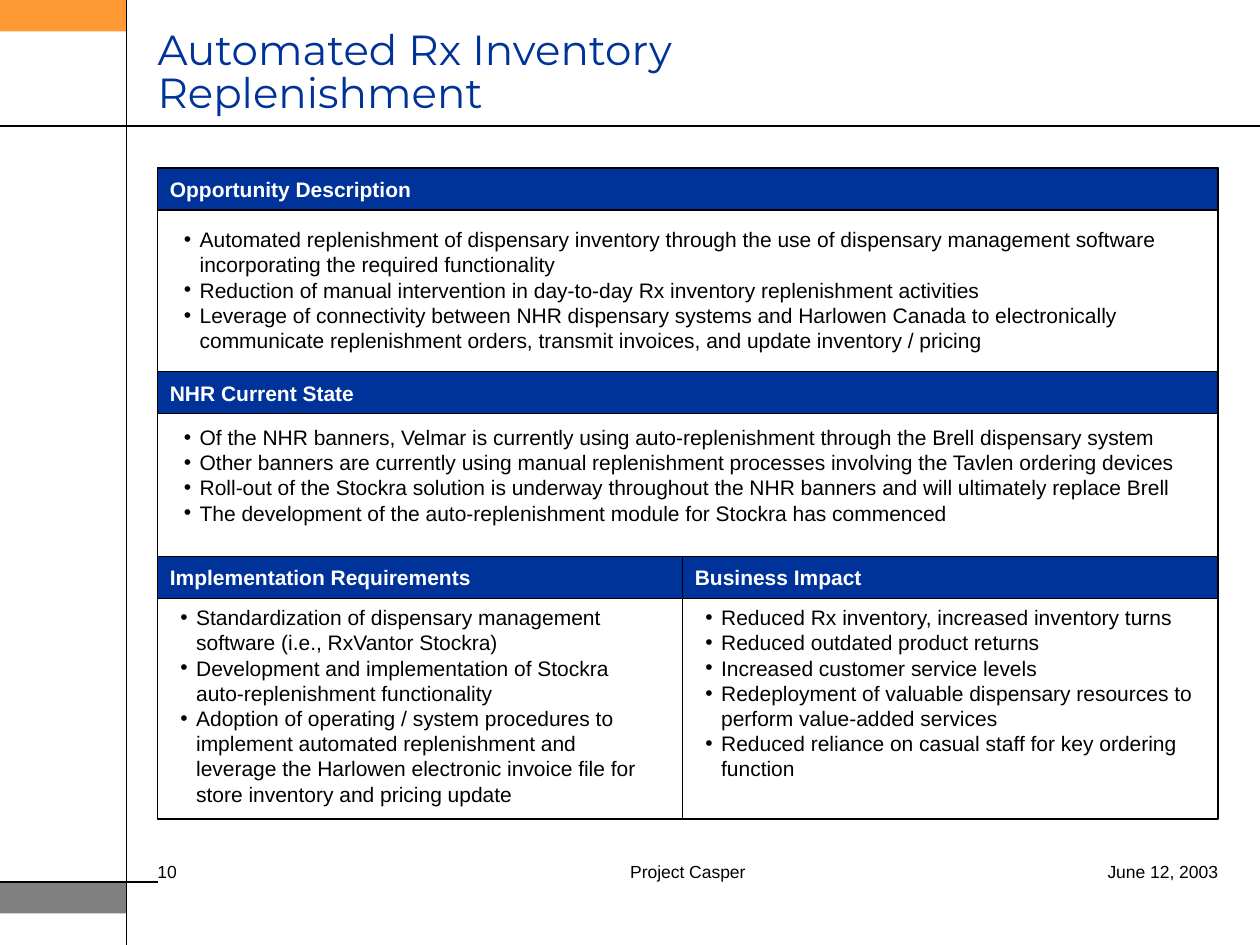
from lxml.etree import SubElement
from pptx import Presentation
from pptx.dml.color import RGBColor
from pptx.enum.shapes import MSO_CONNECTOR, MSO_SHAPE
from pptx.enum.text import MSO_ANCHOR, MSO_AUTO_SIZE, PP_ALIGN
from pptx.oxml.ns import qn
from pptx.util import Pt

COLORS = {"blue": "003399", "orange": "FF9933", "gray": "808080",
          "black": "000000", "white": "FFFFFF"}
TITLE = {"name": "Montserrat", "size": Pt(24), "color": "blue"}
HEADING = {"name": "Arial", "size": Pt(12), "bold": True, "color": "white"}
BODY = {"name": "Arial", "size": Pt(12), "color": "black"}
FOOTER = {"name": "Arial", "size": Pt(10), "color": "black"}

PANELS = [
    {"box": (0, 0, 606, 116.4), "inset": (8, 30, 586),
     "heading": "Opportunity Description",
     "items": [
         "Automated replenishment of dispensary inventory through the use of dispensary "
         "management software incorporating the required functionality",
         "Reduction of manual intervention in day-to-day Rx inventory replenishment activities",
         "Leverage of connectivity between NHR dispensary systems and Harlowen Canada to "
         "electronically communicate replenishment orders, transmit invoices, and update "
         "inventory / pricing"]},
    {"box": (0, 116.4, 606, 105.6), "inset": (8, 26.6, 586),
     "heading": "NHR Current State",
     "items": [
         "Of the NHR banners, Velmar is currently using auto-replenishment through the Brell "
         "dispensary system",
         "Other banners are currently using manual replenishment processes involving the "
         "Tavlen ordering devices",
         "Roll-out of the Stockra solution is underway throughout the NHR banners and will "
         "ultimately replace Brell",
         "The development of the auto-replenishment module for Stockra has commenced"]},
    {"box": (0, 222, 300, 150), "inset": (6, 24, 288),
     "heading": "Implementation Requirements",
     "items": [
         "Standardization of dispensary management software (i.e., RxVantor Stockra)",
         "Development and implementation of Stockra auto-replenishment functionality",
         "Adoption of operating / system procedures to implement automated replenishment and "
         "leverage the Harlowen electronic invoice file for store inventory and pricing update"]},
    {"box": (300, 222, 306, 150), "inset": (6, 24, 306),
     "heading": "Business Impact",
     "items": [
         "Reduced Rx inventory, increased inventory turns",
         "Reduced outdated product returns",
         "Increased customer service levels",
         "Redeployment of valuable dispensary resources to perform value-added services",
         "Reduced reliance on casual staff for key ordering function"]},
]


def rgb(name):
    """Return the named palette colour."""
    return RGBColor.from_string(COLORS[name])


def set_font(font, fmt):
    """Apply a dict of format values to a font."""
    for key, value in fmt.items():
        if key == "color":
            font.color.rgb = rgb(value)
        else:
            setattr(font, key, value)


def set_frame(tf, margins=(0, 0), anchor=MSO_ANCHOR.TOP):
    """Set wrapping, anchor and the side and top margins of a text frame."""
    side, top = (Pt(m) for m in margins)
    values = {"word_wrap": True, "auto_size": MSO_AUTO_SIZE.NONE,
              "vertical_anchor": anchor, "margin_left": side, "margin_right": side,
              "margin_top": top, "margin_bottom": top}
    for key, value in values.items():
        setattr(tf, key, value)


def add_rect(s, box, fill=None, line=None):
    """Add a rectangle with an optional fill and outline."""
    sp = s.shapes.add_shape(MSO_SHAPE.RECTANGLE, *map(Pt, box))
    sp.shadow.inherit = False
    if fill:
        sp.fill.solid()
        sp.fill.fore_color.rgb = rgb(fill)
    else:
        sp.fill.background()
    if line:
        sp.line.color.rgb = rgb(line)
        sp.line.width = Pt(0.75)
    else:
        sp.line.fill.background()
    return sp


def add_line(s, x1, y1, x2, y2, width=0.75):
    """Add a straight black line."""
    ln = s.shapes.add_connector(MSO_CONNECTOR.STRAIGHT, *map(Pt, (x1, y1, x2, y2)))
    ln.line.color.rgb = rgb("black")
    ln.line.width = Pt(width)
    SubElement(ln._element.spPr, qn("a:effectLst"))


def add_text(p, text, fmt, align=PP_ALIGN.LEFT):
    """Write one formatted run into a paragraph."""
    p.alignment = align
    r = p.add_run()
    r.text = text
    set_font(r.font, fmt)


def add_bullet(p):
    """Give a paragraph a round black bullet with a hanging indent."""
    pPr = p._p.get_or_add_pPr()
    pPr.set("marL", str(Pt(9)))
    pPr.set("indent", str(-Pt(9)))
    clr = SubElement(pPr, qn("a:buClr"))
    SubElement(clr, qn("a:srgbClr"), val=COLORS["black"])
    SubElement(pPr, qn("a:buFont"), typeface="Arial")
    SubElement(pPr, qn("a:buChar"), char="•")


def add_backdrop(s, width, height):
    """Draw the side blocks and rules that frame the slide."""
    add_rect(s, (0, 0, 72, 18), "orange")
    add_line(s, 72, 0, 72, height, 0.5)
    add_line(s, 0, 72, width, 72)
    add_rect(s, (0, 504, 72, 18), "gray")
    add_line(s, 0, 504, 90, 504)


def add_title(s, box, text):
    """Move the title placeholder into the box and fill it."""
    sp = s.shapes.title
    sp.left, sp.top, sp.width, sp.height = map(Pt, box)
    set_frame(sp.text_frame)
    p = sp.text_frame.paragraphs[0]
    p.line_spacing = 0.85
    add_text(p, text, TITLE)


def add_panel(s, box, heading, items, inset):
    """Add a heading bar with a bulleted list below it."""
    x, y, w, h = box
    dx, dy, list_w = inset
    bar = add_rect(s, (x, y, w, 24), "blue", "black")
    set_frame(bar.text_frame, (7.2, 3.6), MSO_ANCHOR.MIDDLE)
    add_text(bar.text_frame.paragraphs[0], heading, HEADING)
    tf = s.shapes.add_textbox(*map(Pt, (x + dx, y + dy, list_w, h - dy))).text_frame
    set_frame(tf, (7.2, 3.6))
    for i, item in enumerate(items):
        p = tf.add_paragraph() if i else tf.paragraphs[0]
        add_bullet(p)
        add_text(p, item, BODY)


def add_panels(s, box):
    """Draw the outer frame, the panels and the divider of the lower pair."""
    x, y, w, h = box
    add_rect(s, box, line="black")
    for panel in PANELS:
        px, py, pw, ph = panel["box"]
        add_panel(s, (x + px, y + py, pw, ph), panel["heading"], panel["items"],
                  panel["inset"])
    add_line(s, x + 300, y + 246, x + 300, y + h)


def add_footer(s, box):
    """Add the page number, project name and date across the box."""
    x, y, w, h = box
    side = 150
    parts = [("10", 0, side, PP_ALIGN.LEFT),
             ("Project Casper", side, w - 2 * side, PP_ALIGN.CENTER),
             ("June 12, 2003", w - side, side, PP_ALIGN.RIGHT)]
    for text, dx, part_w, align in parts:
        tf = s.shapes.add_textbox(*map(Pt, (x + dx, y, part_w, h))).text_frame
        set_frame(tf)
        add_text(tf.paragraphs[0], text, FOOTER, align)


def main():
    """Build and save the slide."""
    prs = Presentation()
    prs.slide_width, prs.slide_height = Pt(720), Pt(540)
    s = prs.slides.add_slide(prs.slide_layouts[5])
    add_backdrop(s, 720, 540)
    add_title(s, (90, 18, 474, 54), "Automated Rx Inventory Replenishment")
    add_panels(s, (90, 96, 606, 372))
    add_footer(s, (90, 492, 606, 36))
    prs.save("out.pptx")


if __name__ == "__main__":
    main()
